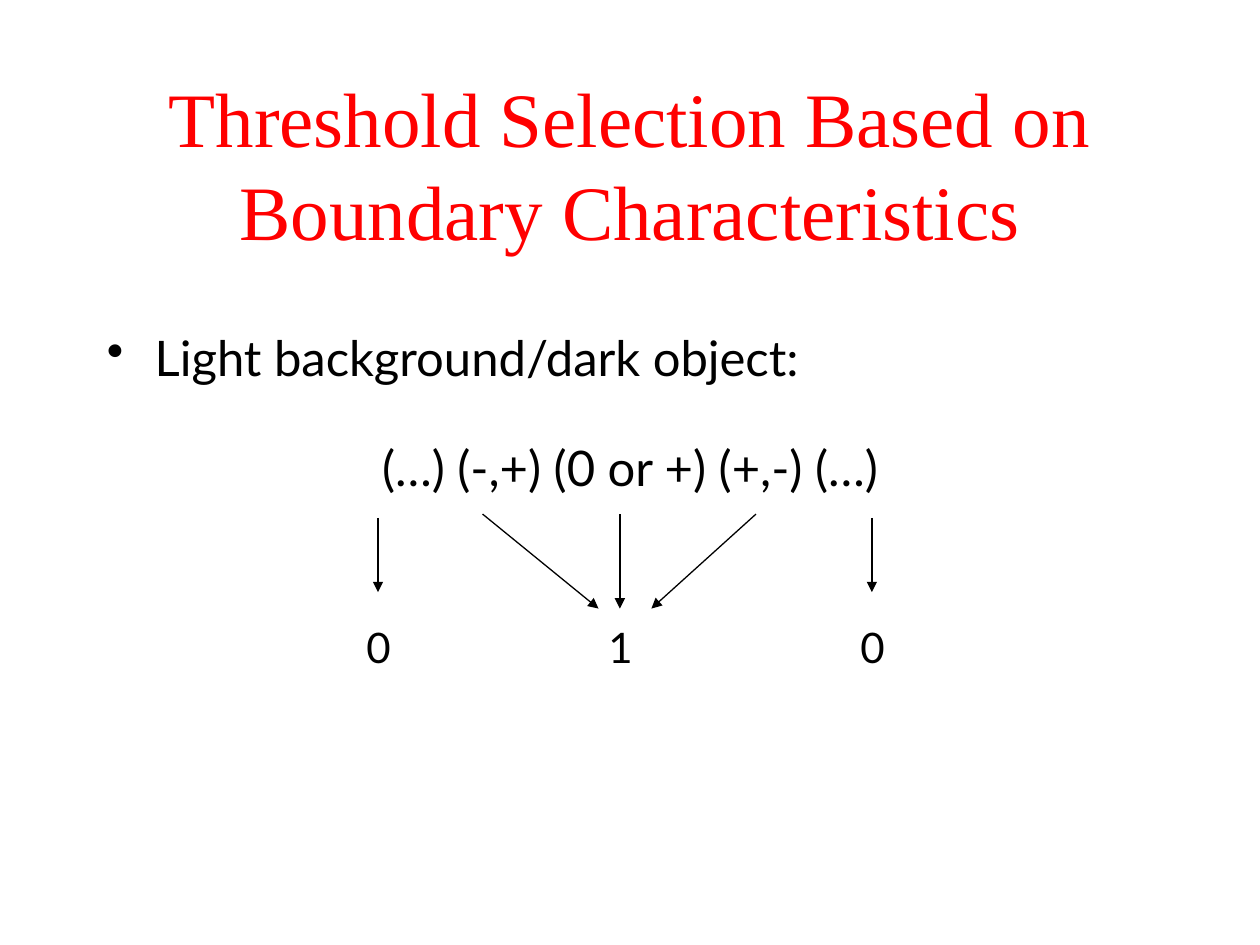
from lxml import etree
from pptx import Presentation
from pptx import util as u
from pptx.dml.color import RGBColor
from pptx.enum import shapes, text
from pptx.oxml.ns import qn

COLOURS = {"title": "FF0000", "ink": "000000"}
FONTS = {"title": "Times New Roman", "body": "Lato"}


class ThresholdSlide:
    """Holds the style and the current slide, and draws each kind of element."""

    def __init__(self, deck):
        self.page = deck.slides.add_slide(deck.slide_layouts[6])

    def text_box(self, left, top, width, height, wrap=True, anchor=text.MSO_ANCHOR.TOP):
        box = self.page.shapes.add_textbox(*map(u.Inches, (left, top, width, height)))
        box.text_frame.word_wrap = wrap
        box.text_frame.vertical_anchor = anchor
        return box.text_frame

    def add_span(self, para, words, size, style="body", colour="ink", align=text.PP_ALIGN.LEFT):
        para.alignment = align
        span = para.add_run()
        span.text = words
        span.font.size = u.Pt(size)
        span.font.name = FONTS[style]
        span.font.color.rgb = RGBColor.from_string(COLOURS[colour])

    def title(self, words):
        frame = self.text_box(0.75, 0.67, 8.5, 1.25, anchor=text.MSO_ANCHOR.MIDDLE)
        self.add_span(frame.paragraphs[0], words, 44, "title", "title", text.PP_ALIGN.CENTER)

    def body(self, heading, pattern):
        frame = self.text_box(0.75, 2.55, 8.5, 4.12)
        para = frame.paragraphs[0]
        properties = para._p.get_or_add_pPr()
        properties.set("marL", str(u.Inches(0.38)))
        properties.set("indent", str(u.Inches(-0.38)))
        etree.SubElement(properties, qn("a:buChar"), char="•")
        self.add_span(para, heading, 28)
        para = frame.add_paragraph()
        para.space_before = u.Pt(29.5)
        self.add_span(para, pattern, 28, align=text.PP_ALIGN.CENTER)

    def label(self, left, words):
        frame = self.text_box(left, 4.88, 0.39, 0.5, wrap=False)
        self.add_span(frame.paragraphs[0], words, 24)

    def arrow(self, start_x, start_y, end_x, end_y):
        ends = map(u.Inches, (start_x, start_y, end_x, end_y))
        arrow = self.page.shapes.add_connector(shapes.MSO_CONNECTOR.STRAIGHT, *ends)
        arrow.line.width = u.Pt(0.75)
        arrow.line.color.rgb = RGBColor.from_string(COLOURS["ink"])
        etree.SubElement(arrow.line._get_or_add_ln(), qn("a:tailEnd"), type="triangle")
        etree.SubElement(arrow._element.spPr, qn("a:effectLst"))


def main():
    deck = Presentation()
    deck.slide_width, deck.slide_height = u.Inches(10), u.Inches(7.5)
    slide = ThresholdSlide(deck)
    slide.title("Threshold Selection Based on Boundary Characteristics")
    slide.body("Light background/dark object:", "(…) (-,+) (0 or +) (+,-) (…)")
    for left, digit in ((2.81, "0"), (4.73, "1"), (6.73, "0")):
        slide.label(left, digit)
    for x in (3, 6.92):
        slide.arrow(x, 4.11, x, 4.7)
    for start, end in ((3.83, 4.75), (6, 5.17), (4.92, 4.92)):
        slide.arrow(start, 4.08, end, 4.83)
    deck.save("out.pptx")


if __name__ == "__main__":
    main()
